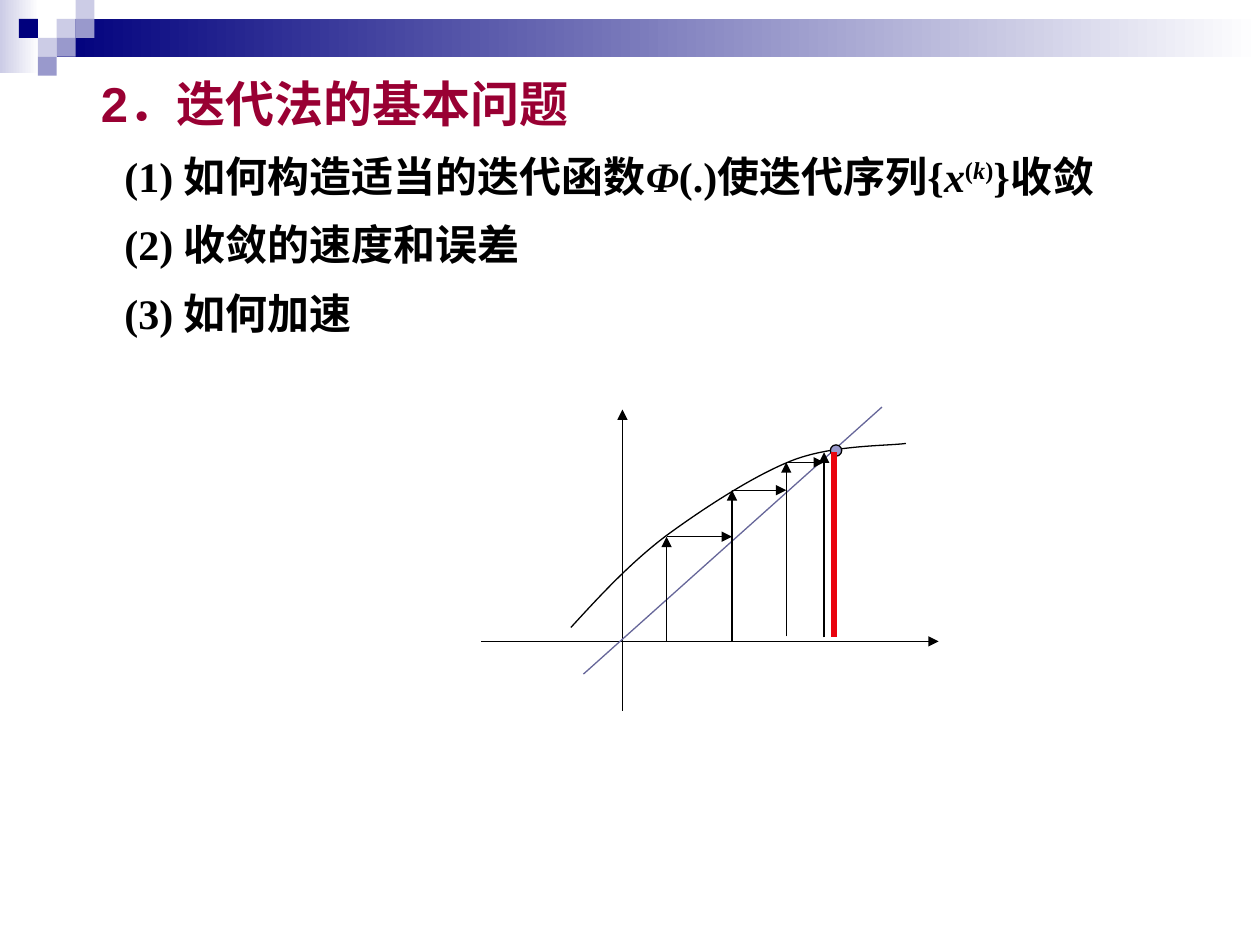
"""Build a slide on the basic questions of iteration, with a cobweb plot."""
import pptx
import pptx.dml.color
import pptx.enum.shapes
import pptx.enum.text
import pptx.oxml.ns
import pptx.oxml.xmlchemy
import pptx.util

Pt = pptx.util.Pt
RGB = pptx.dml.color.RGBColor
Shape = pptx.enum.shapes.MSO_SHAPE
qn = pptx.oxml.ns.qn
make = pptx.oxml.xmlchemy.OxmlElement

BLACK = RGB(0, 0, 0)
WHITE = RGB(255, 255, 255)
NAVY = RGB(0x00, 0x00, 0x7D)
PALE = RGB(0xCC, 0xCC, 0xE6)
LILAC = RGB(0x99, 0x99, 0xCC)
SLATE = RGB(0x66, 0x66, 0x99)
WINE = RGB(0x99, 0x00, 0x33)
RED = RGB(0xE9, 0x03, 0x0E)

CELL = 10.8
TILES = [(3, 1, PALE), (4, 0, PALE), (4, 1, LILAC), (2, 2, PALE),
         (1, 1, NAVY), (3, 2, LILAC), (2, 3, LILAC)]
BASE = 366.5
RISERS = [(380.9, BASE, 306.7), (418.3, BASE, 280.1),
          (449.3, 363.6, 264.2), (470.9, 364.3, 258.5)]
CURVE = [(326.2, 358.6), (342.7, 340.6), (360, 321.8), (380.9, 306),
         (402.5, 290.2), (431.3, 271.4), (453.6, 262.8),
         (476.6, 254.2), (506.9, 254.9), (517.7, 253.4)]
ITEMS = [
    [("(1) 如何构造适当的迭代函数", ""), ("Φ", "i"), ("(.)使迭代序列{", ""),
     ("x", "i"), ("(", "s"), ("k", "is"), (")", "s"), ("}收敛", "")],
    [("(2) 收敛的速度和误差", "")],
    [("(3) 如何加速", "")],
]


class Deck:
    """Hold the style and the current slide."""

    thin = 0.75
    lead = 1.2

    def __init__(self):
        self.prs = pptx.Presentation()
        self.prs.slide_width, self.prs.slide_height = Pt(720), Pt(540)
        self.slide = self.prs.slides.add_slide(self.prs.slide_layouts[5])
        self.shapes = self.slide.shapes

    def shape(self, kind, box, fill, line=None, fade=False):
        item = self.shapes.add_shape(kind, *map(Pt, box))
        item.shadow.inherit = False
        if fade:
            item.fill.gradient()
            item.fill.gradient_angle = 0
            for stop, tone in zip(item.fill.gradient_stops, (fill, WHITE)):
                stop.color.rgb = tone
        else:
            item.fill.solid()
            item.fill.fore_color.rgb = fill
        if line is None:
            item.line.fill.background()
        else:
            item.line.color.rgb = line
            item.line.width = Pt(self.thin)

    def line(self, start, end, color=BLACK, width=thin, arrow=False):
        item = self.shapes.add_connector(
            pptx.enum.shapes.MSO_CONNECTOR.STRAIGHT, *map(Pt, start + end))
        item.line.color.rgb = color
        item.line.width = Pt(width)
        if arrow:
            tail = make("a:tailEnd")
            tail.set("type", "triangle")
            item._element.spPr.find(qn("a:ln")).append(tail)
        item._element.spPr.append(make("a:effectLst"))

    def curve(self, points):
        spots = [(Pt(x), Pt(y)) for x, y in points]
        form = self.shapes.build_freeform(*spots[0])
        form.add_line_segments(spots[1:], close=False)
        item = form.convert_to_shape()
        item.shadow.inherit = False
        item.fill.background()
        item.line.color.rgb = BLACK
        item.line.width = Pt(self.thin)
        legs = list(item._element.iter(qn("a:lnTo")))
        for i in range(0, len(legs), 3):
            bend = make("a:cubicBezTo")
            legs[i].addprevious(bend)
            for leg in legs[i:i + 3]:
                bend.append(leg[0])
                leg.getparent().remove(leg)

    def frame(self, item, box):
        item.left, item.top, item.width, item.height = map(Pt, box)
        frame = item.text_frame
        frame.word_wrap = True
        frame.auto_size = pptx.enum.text.MSO_AUTO_SIZE.NONE
        frame.vertical_anchor = pptx.enum.text.MSO_ANCHOR.TOP
        return frame

    def format(self, para, face, size, color):
        para.alignment = pptx.enum.text.PP_ALIGN.JUSTIFY
        para.line_spacing = self.lead
        for run in para.runs:
            run.font.name = face
            run.font.size = Pt(size)
            run.font.bold = True
            run.font.color.rgb = color

    def title(self, text, box):
        frame = self.frame(self.shapes.title, box)
        frame.text = text
        self.format(frame.paragraphs[0], "Arial", 28, WINE)

    def list(self, items, box):
        frame = self.frame(self.shapes.add_textbox(0, 0, 0, 0), box)
        for i, parts in enumerate(items):
            para = frame.add_paragraph() if i else frame.paragraphs[0]
            for text, marks in parts:
                run = para.add_run()
                run.text = text
                run.font.italic = "i" in marks
                if "s" in marks:
                    run._r.get_or_add_rPr().set("baseline", "30000")
            self.format(para, "Times New Roman", 24, BLACK)
            para.space_before = Pt(4.8 if i else 0)


def main():
    deck = Deck()
    deck.shape(Shape.RECTANGLE, (0, 0, 22.3, 41.8), PALE, fade=True)
    deck.shape(Shape.RECTANGLE, (32.4, CELL, 687.6, 2 * CELL), NAVY, fade=True)
    for col, row, tone in TILES:
        deck.shape(Shape.RECTANGLE, (col * CELL, row * CELL, CELL, CELL), tone)

    deck.title("2．迭代法的基本问题", (50.4, 31.7, 633.6, 44))
    deck.list(ITEMS, (64, 76.5, 620, 130))

    deck.line((275, BASE), (536.4, BASE), arrow=True)
    deck.line((355.7, 406.1), (355.7, 234), arrow=True)
    deck.line((333.4, 385.2), (504, 232.6), SLATE)
    deck.curve(CURVE)
    deck.shape(Shape.OVAL, (474.5, 254.2, 6.5, 6.5), LILAC, BLACK)
    for x, low, high in RISERS:
        deck.line((x, low), (x, high), arrow=True)
    for (x, _, y), (end, _, _) in zip(RISERS, RISERS[1:]):
        deck.line((x, y), (end, y), arrow=True)
    deck.line((476.6, 258.5), (476.6, 364.3), RED, 3)
    deck.prs.save("out.pptx")


if __name__ == "__main__":
    main()
